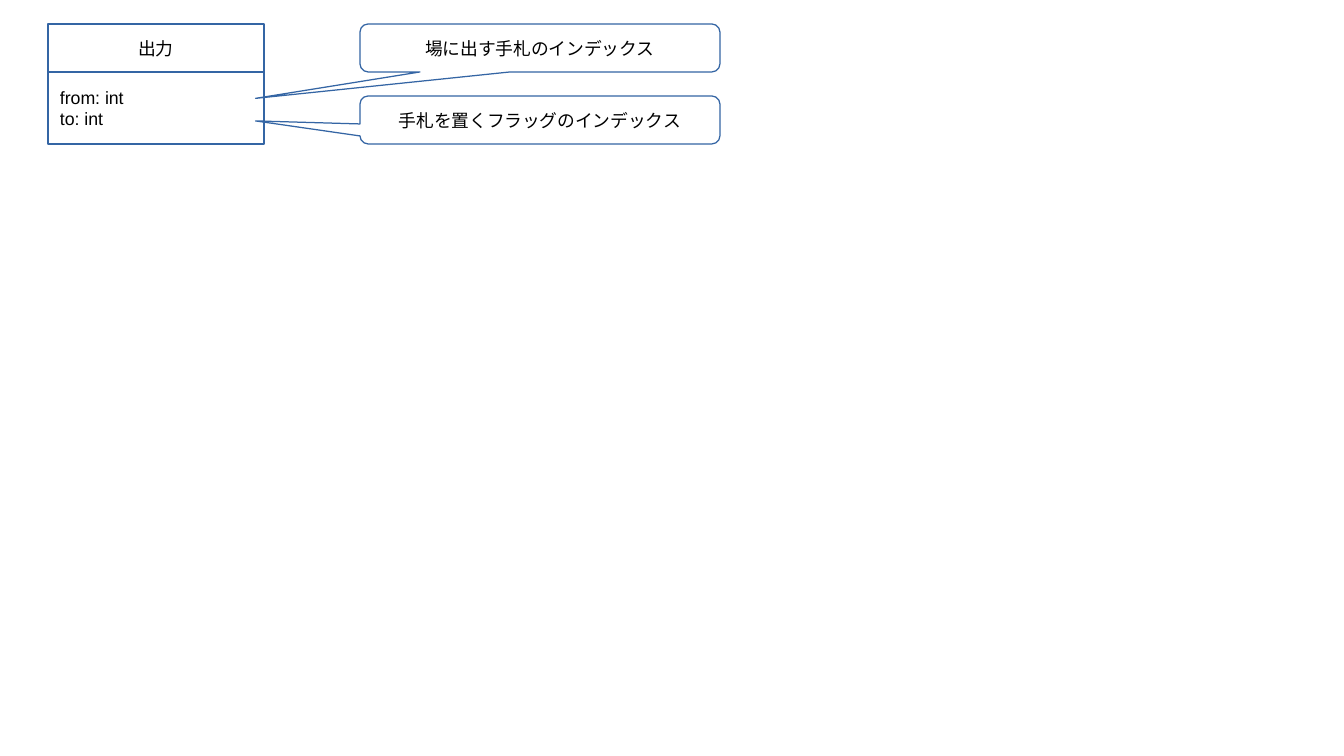
"""Build a slide that describes the output fields and their meaning."""
from pptx import Presentation
from pptx.dml.color import RGBColor
from pptx.enum.shapes import MSO_SHAPE
from pptx.enum.text import MSO_ANCHOR, PP_ALIGN
from pptx.util import Cm, Inches, Pt

RECT = MSO_SHAPE.RECTANGLE
CALLOUT = MSO_SHAPE.ROUNDED_RECTANGULAR_CALLOUT
LEFT, CENTER = PP_ALIGN.LEFT, PP_ALIGN.CENTER
MIDDLE = MSO_ANCHOR.MIDDLE
WHITE = RGBColor(0xFF, 0xFF, 0xFF)
BLACK = RGBColor(0x00, 0x00, 0x00)
BLUE = RGBColor(0x34, 0x65, 0xA4)
GRID = Cm(0.5)

prs = Presentation()
prs.slide_width, prs.slide_height = Cm(28), Cm(15.75)
s = prs.slides.add_slide(prs.slide_layouts[6])

boxes = [
    (RECT, (2, 1, 9, 2), (), CENTER, ["出力"]),
    (RECT, (2, 3, 9, 3), (), LEFT, ["from: int", "to: int"]),
    (CALLOUT, (15, 1, 15, 2), (-0.79, 1.05, 0.17), CENTER, ["場に出す手札のインデックス"]),
    (CALLOUT, (15, 4, 15, 2), (-0.79, 0.02, 0.17), CENTER, ["手札を置くフラッグのインデックス"]),
]

for kind, cells, adjustments, align, lines in boxes:
    sp = s.shapes.add_shape(kind, *(GRID * n for n in cells))
    for i, value in enumerate(adjustments):
        sp.adjustments[i] = value
    sp.shadow.inherit = False
    sp.fill.solid()
    sp.fill.fore_color.rgb = WHITE
    sp.line.color.rgb = BLUE
    sp.line.width = Pt(0)
    tf = sp.text_frame
    tf.word_wrap = True
    tf.vertical_anchor = MIDDLE
    tf.margin_left = tf.margin_right = Inches(0.1)
    tf.margin_top = tf.margin_bottom = Inches(0.05)
    tf.text = "\n".join(lines)
    for p in tf.paragraphs:
        p.alignment = align
        p.font.name = "Arial"
        p.font.size = Pt(10.5)
        p.font.color.rgb = BLACK

prs.save("out.pptx")
